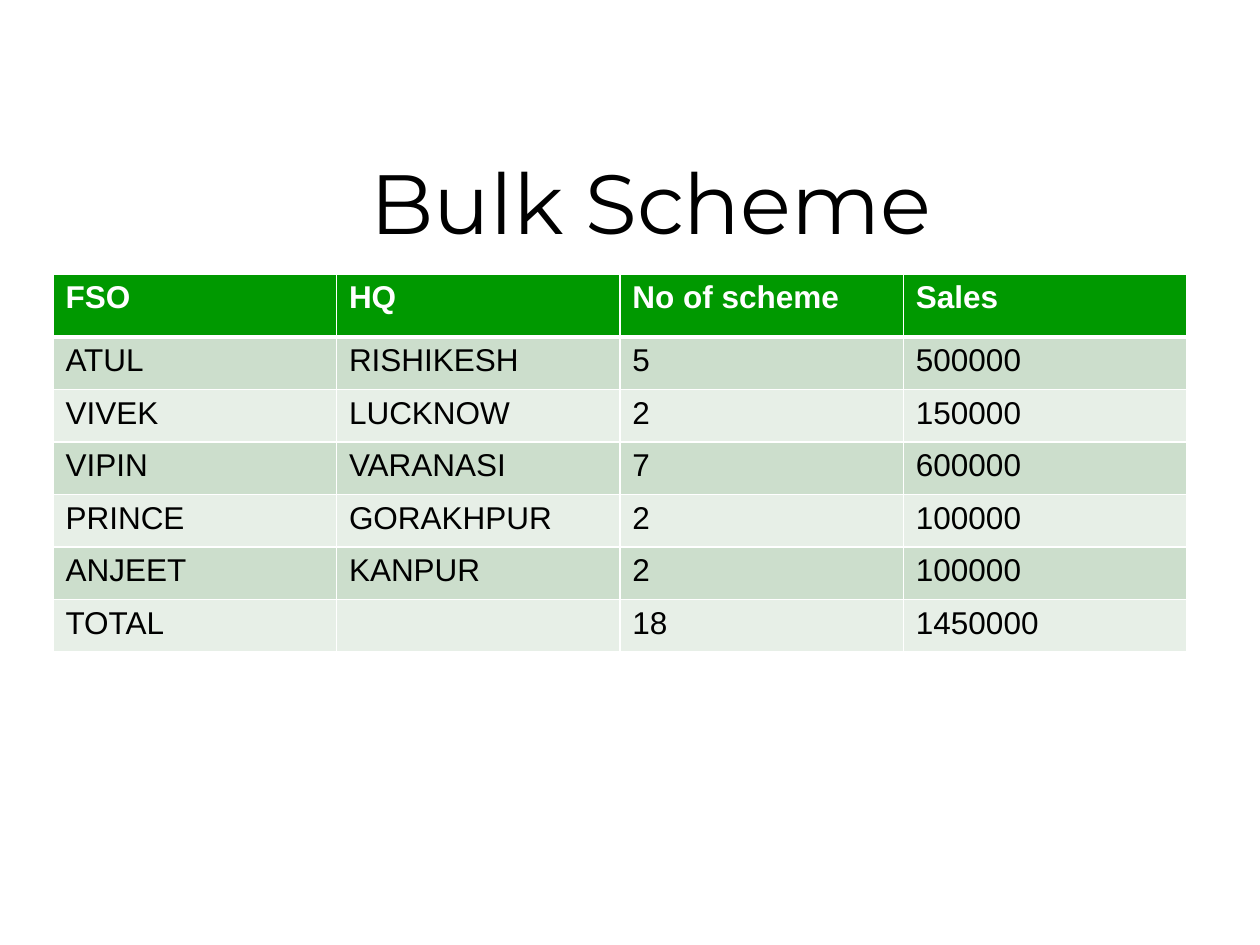
import pptx
import pptx.util
import pptx.dml.color
import pptx.enum.text
import pptx.oxml.ns
import lxml.etree
from dataclasses import dataclass

PX = 914400 // 126  # EMU per pixel


@dataclass(frozen=True)
class Theme:
    title_font: str = "Montserrat"
    body_font: str = "Arial"
    title_size: int = 48
    body_size: int = 18
    ink: str = "000000"
    white: str = "FFFFFF"
    header: str = "009900"
    bands: tuple = ("CCDECC", "E7EFE7")


THEME = Theme()
ROWS = [
    ("FSO", "HQ", "No of scheme", "Sales"),
    ("ATUL", "RISHIKESH", "5", "500000"),
    ("VIVEK", "LUCKNOW", "2", "150000"),
    ("VIPIN", "VARANASI", "7", "600000"),
    ("PRINCE", "GORAKHPUR", "2", "100000"),
    ("ANJEET", "KANPUR", "2", "100000"),
    ("TOTAL", "", "18", "1450000"),
]


def rgb(color):
    return pptx.dml.color.RGBColor.from_string(color)


def write(tf, text, *, font, size, color, bold=False, align=None):
    p = tf.paragraphs[0]
    p.alignment = align
    if not text:
        p.font.size = pptx.util.Pt(size)
        return
    r = p.add_run()
    r.text = text
    r.font.name = font
    r.font.size = pptx.util.Pt(size)
    r.font.bold = bold
    r.font.color.rgb = rgb(color)


def set_borders(cell, color, bottom=1):
    """Insert the four border lines ahead of the cell's fill."""
    tc_pr = cell._tc.get_or_add_tcPr()
    qn = pptx.oxml.ns.qn
    for i, (side, width) in enumerate((("L", 1), ("R", 1), ("T", 1), ("B", bottom))):
        ln = lxml.etree.Element(qn(f"a:ln{side}"), w=str(pptx.util.Pt(width)))
        fill = lxml.etree.SubElement(ln, qn("a:solidFill"))
        lxml.etree.SubElement(fill, qn("a:srgbClr"), val=color)
        tc_pr.insert(i, ln)


def add_title(slide, text, x, y, w, h):
    sp = slide.shapes.title
    sp.left, sp.top, sp.width, sp.height = (v * PX for v in (x, y, w, h))
    tf = sp.text_frame
    tf.word_wrap = True
    tf.vertical_anchor = pptx.enum.text.MSO_ANCHOR.TOP
    tf.margin_top = 10 * PX
    write(tf, text, font=THEME.title_font, size=THEME.title_size,
          color=THEME.ink, align=pptx.enum.text.PP_ALIGN.CENTER)


def add_sales_table(slide, rows, x, y, w, h, header_h):
    n_rows, n_cols = len(rows), len(rows[0])
    frame = slide.shapes.add_table(n_rows, n_cols, *(v * PX for v in (x, y, w, h)))
    table = frame.table
    for col in table.columns:
        col.width = w * PX // n_cols
    for i, values in enumerate(rows):
        head = i == 0
        table.rows[i].height = header_h * PX if head else (h - header_h) * PX // (n_rows - 1)
        for j, text in enumerate(values):
            cell = table.cell(i, j)
            cell.fill.solid()
            cell.fill.fore_color.rgb = rgb(THEME.header if head else THEME.bands[(i - 1) % 2])
            set_borders(cell, THEME.white, bottom=3 if head else 1)
            write(cell.text_frame, text, font=THEME.body_font, size=THEME.body_size,
                  color=THEME.white if head else THEME.ink, bold=head)


def main():
    prs = pptx.Presentation()
    prs.slide_width = pptx.util.Inches(10)
    prs.slide_height = pptx.util.Inches(7.5)
    slide = prs.slides.add_slide(prs.slide_layouts[5])  # title only
    add_title(slide, "Bulk Scheme", 84, 141, 1134, 158)
    add_sales_table(slide, ROWS, 53, 274, 1134, 378, header_h=63)
    prs.save("out.pptx")


main()
